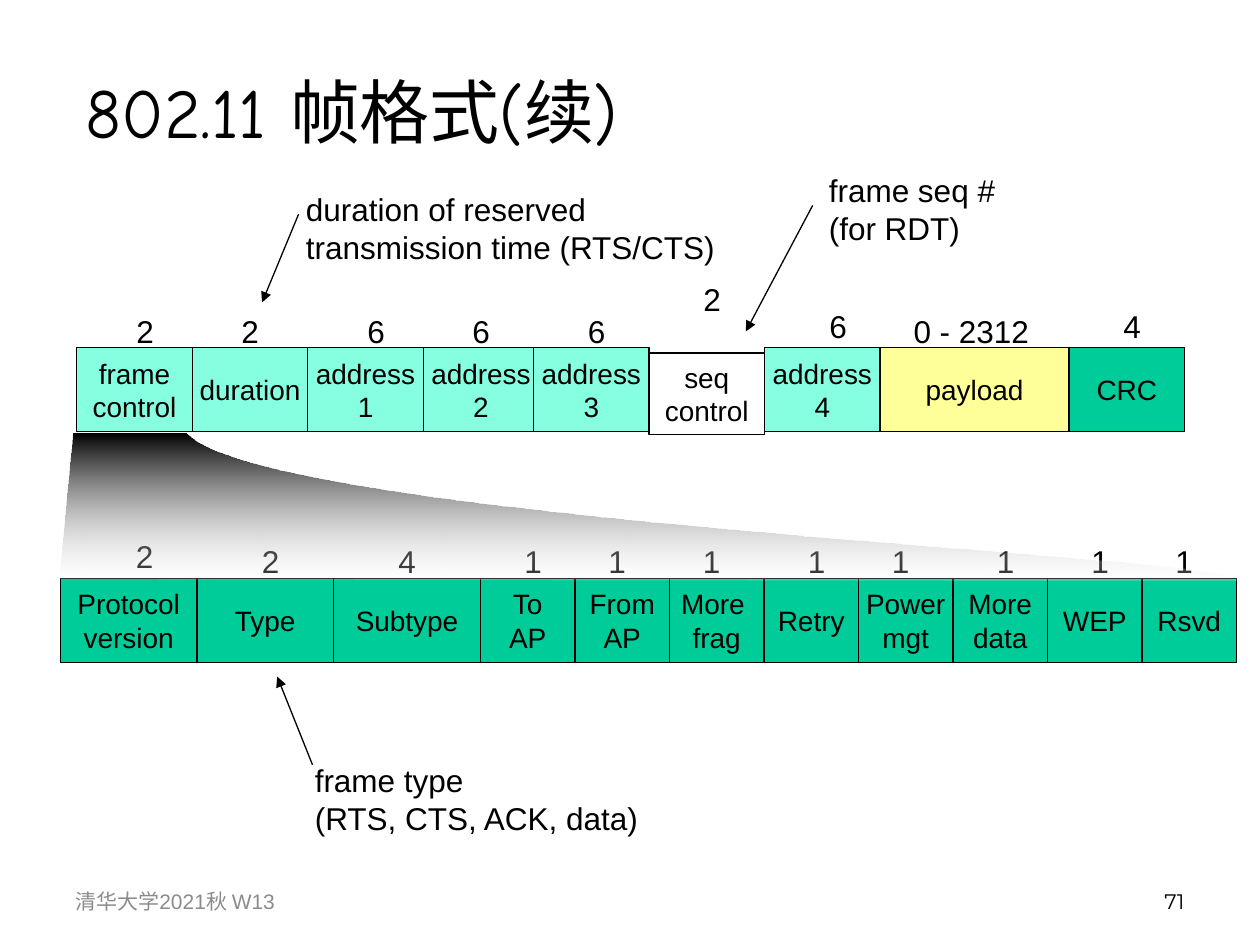
from lxml.etree import SubElement
from pptx import Presentation
from pptx.dml.color import RGBColor
from pptx.enum.shapes import MSO_CONNECTOR, MSO_SHAPE
from pptx.enum.text import MSO_ANCHOR, PP_ALIGN
from pptx.oxml.ns import qn
from pptx.util import Inches, Pt

UNIT = 1 / 12  # grid step in inches
CELL_HEIGHT = 8 * UNIT
BLACK, WHITE, MINT, GREEN, YELLOW = "000000", "FFFFFF", "85FFE0", "00CC99", "FFFF99"

# label, width, fill, byte count, count's offset and lift; lengths in grid steps
FRAME_FIELDS = [
    ("frame\ncontrol", 11, MINT, "2", 4.5, 4),
    ("duration", 11, MINT, "2", 3.5, 4),
    ("address\n1", 11, MINT, "6", 4.5, 4),
    ("address\n2", 11, MINT, "6", 3.5, 4),
    ("address\n3", 11, MINT, "6", 4, 4),
    ("seq\ncontrol", 11, WHITE, "2", 4, 7),
    ("address\n4", 11, MINT, "6", 5, 4.5),
    ("payload", 18, YELLOW, "0 - 2312", 2, 4),
    ("CRC", 11, GREEN, "4", 4, 4.5),
]
CONTROL_FIELDS = [
    ("Protocol\nversion", 13, GREEN, "2", 6, 4.5),
    ("Type", 13, GREEN, "2", 5, 4),
    ("Subtype", 14, GREEN, "4", 5, 4),
    ("To\nAP", 9, GREEN, "1", 3, 4),
    ("From\nAP", 9, GREEN, "1", 2, 4),
    ("More \nfrag", 9, GREEN, "1", 2, 4),
    ("Retry", 9, GREEN, "1", 3, 4),
    ("Power\nmgt", 9, GREEN, "1", 2, 4),
    ("More\ndata", 9, GREEN, "1", 3, 4),
    ("WEP", 9, GREEN, "1", 3, 4),
    ("Rsvd", 9, GREEN, "1", 2, 4),
]
# text, box, arrow start, arrow end
NOTES = [
    ("duration of reserved\ntransmission time (RTS/CTS)", (2.33, 1.46, 3.63, 0.7),
     (2.37, 1.7), (2.08, 2.4)),
    ("frame seq #\n(for RDT)", (6.48, 1.31, 1.53, 0.7), (6.45, 1.63), (5.92, 2.63)),
    ("frame type\n(RTS, CTS, ACK, data)", (2.4, 5.99, 2.82, 0.7),
     (2.48, 6.07), (2.2, 5.37)),
]


def rgb(color):
    return RGBColor.from_string(color)


def inches(*lengths):
    return [Inches(length) for length in lengths]


def write(shape, text, size, font="Arial", color=BLACK, align=PP_ALIGN.LEFT,
          anchor=MSO_ANCHOR.TOP, wrap=False):
    frame = shape.text_frame
    frame.word_wrap = wrap
    frame.vertical_anchor = anchor
    for index, line in enumerate(text.split("\n")):
        paragraph = frame.paragraphs[0] if index == 0 else frame.add_paragraph()
        paragraph.alignment = align
        run = paragraph.add_run()
        run.text = line
        run.font.size = Pt(size)
        run.font.name = font
        run.font.color.rgb = rgb(color)


def add_text(shapes, box, text, size, **style):
    write(shapes.add_textbox(*inches(*box)), text, size, **style)


def add_cell(shapes, box, label, fill):
    cell = shapes.add_shape(MSO_SHAPE.RECTANGLE, *inches(*box))
    cell.shadow.inherit = False
    cell.fill.solid()
    cell.fill.fore_color.rgb = rgb(fill)
    cell.line.color.rgb = rgb(BLACK)
    cell.line.width = Pt(0.75)
    write(cell, label, 16, align=PP_ALIGN.CENTER, anchor=MSO_ANCHOR.MIDDLE)


def add_field_row(slide, left, top, fields):
    """Place adjoining field cells with their byte counts above."""
    shapes = slide.shapes.add_group_shape().shapes
    for label, steps, fill, count, offset, lift in fields:
        width = steps * UNIT
        drop = UNIT / 2 if fill == WHITE else 0  # the white field sits lower
        add_cell(shapes, (left, top + drop, width, CELL_HEIGHT - drop / 2), label, fill)
        count_width = 0.34 if len(count) == 1 else 1.12
        add_text(shapes, (left + offset * UNIT, top - lift * UNIT, count_width, 0.4),
                 count, 18)
        # address 3 overlaps the right edge of address 2
        left += width - (UNIT / 2 if label == "address\n2" else 0)


def bezier(p0, p1, p2, p3, steps=60):
    """Return points along a cubic curve, without its start."""
    points = []
    for step in range(1, steps + 1):
        t = step / steps
        weights = ((1 - t) ** 3, 3 * t * (1 - t) ** 2, 3 * t * t * (1 - t), t ** 3)
        points.append(tuple(sum(w * p[axis] for w, p in zip(weights, (p0, p1, p2, p3)))
                            for axis in (0, 1)))
    return points


def add_zoom_fan(slide, left, top, width, height):
    """Fade from the frame control field out to the row of its parts."""
    right, bottom = left + width, top + height
    start, neck = (left + 0.11, top), (left + 1.01, top)
    corner = (right - 0.17, bottom)
    outline = [(left, bottom - 0.02), corner]
    outline += bezier(corner, (right, bottom - 0.2), (left + 1.69, top + 0.71), neck)
    outline += bezier(neck, (left + 0.26, top), (left + 0.3, top), start)
    builder = slide.shapes.build_freeform(*inches(*start), scale=1.0)
    builder.add_line_segments([inches(*point) for point in outline], close=True)
    fan = builder.convert_to_shape()
    fan.shadow.inherit = False
    fan.line.fill.background()
    fan.fill.gradient()
    fan.fill.gradient_angle = 270
    for stop, color, position in zip(fan.fill.gradient_stops, (BLACK, WHITE), (0, 1)):
        stop.color.rgb = rgb(color)
        stop.position = position
    faded = fan._element.spPr.findall(".//" + qn("a:srgbClr"))[-1]
    SubElement(faded, qn("a:alpha"), val="18000")


def add_arrow(slide, start, end):
    arrow = slide.shapes.add_connector(MSO_CONNECTOR.STRAIGHT, *inches(*start, *end))
    arrow.line.color.rgb = rgb(BLACK)
    arrow.line.width = Pt(0.75)
    SubElement(arrow.line._get_or_add_ln(), qn("a:tailEnd"), type="triangle")
    SubElement(arrow._element.spPr, qn("a:effectLst"))


def add_note(slide, text, box, start, end):
    add_text(slide.shapes, box, text, 18)
    add_arrow(slide, start, end)


def add_footer(slide, left, top, width, height):
    part = 2.33
    style = dict(anchor=MSO_ANCHOR.MIDDLE, wrap=True)
    add_text(slide.shapes, (left, top, part, height), "清华大学2021秋 W13", 12,
             color="8C8C8C", **style)
    add_text(slide.shapes, (left + width - part, top, part, height), "71", 12,
             font="Montserrat", align=PP_ALIGN.RIGHT, **style)


def main():
    deck = Presentation()
    deck.slide_width, deck.slide_height = inches(10, 7.5)
    slide = deck.slides.add_slide(deck.slide_layouts[6])
    add_field_row(slide, 0.61, 2.76, FRAME_FIELDS)
    add_field_row(slide, 0.48, 4.59, CONTROL_FIELDS)
    add_zoom_fan(slide, 0.47, 3.44, 9.53, 1.17)
    add_text(slide.shapes, (0.58, 0.25, 8.5, 1.25), "802.11 帧格式(续)", 40,
             font="Comic Neue", anchor=MSO_ANCHOR.MIDDLE, wrap=True)
    for note in NOTES:
        add_note(slide, *note)
    add_footer(slide, 0.5, 6.95, 9, 0.4)
    deck.save("out.pptx")


if __name__ == "__main__":
    main()
